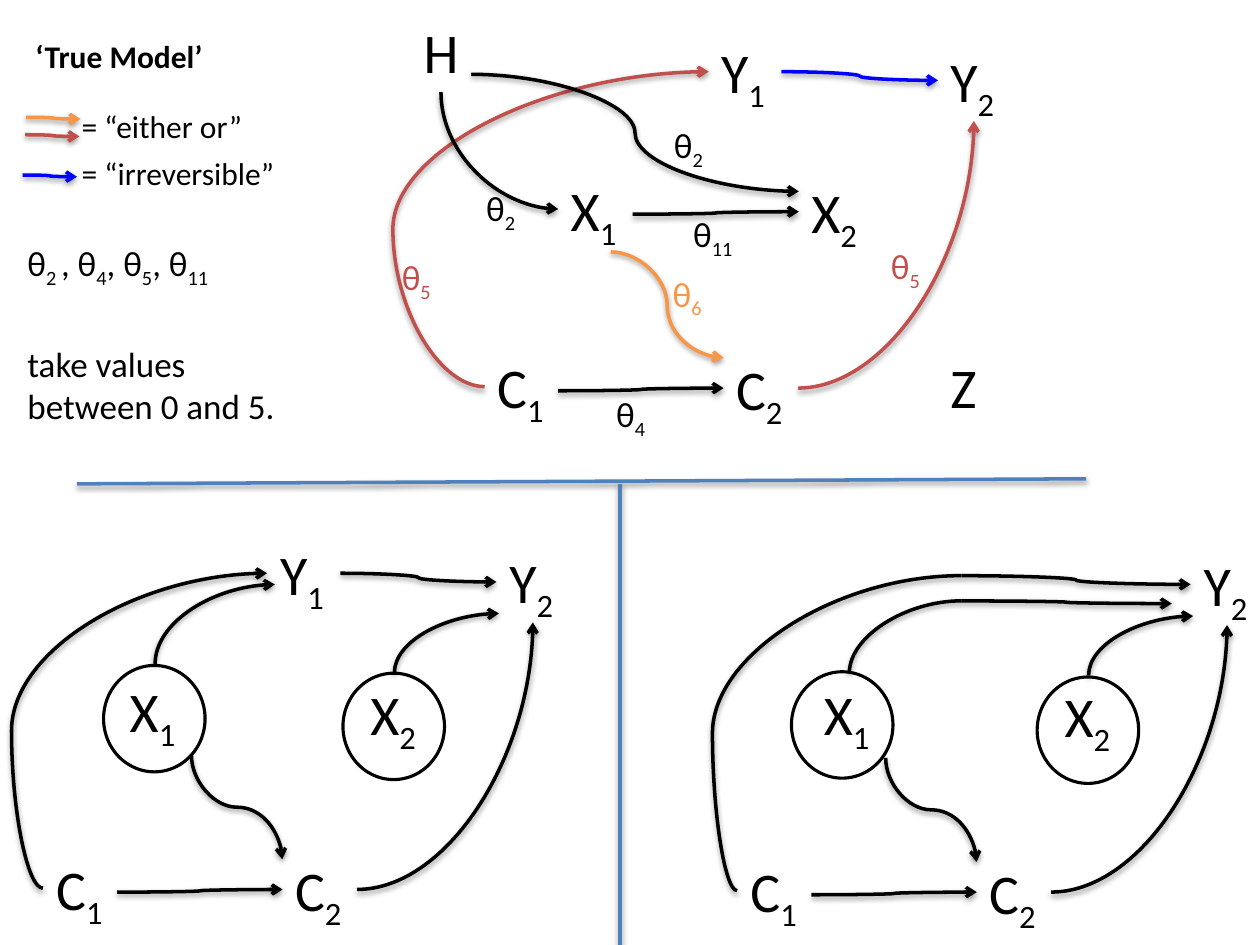
from lxml import etree
from pptx import Presentation
from pptx.dml.color import RGBColor
from pptx.enum.shapes import MSO_CONNECTOR, MSO_SHAPE
from pptx.enum.text import MSO_ANCHOR, MSO_AUTO_SIZE, PP_ALIGN
from pptx.oxml.ns import qn
from pptx.util import Pt

CURVE, STRAIGHT = MSO_CONNECTOR.CURVE, MSO_CONNECTOR.STRAIGHT
DONUT = MSO_SHAPE.DONUT
TOP, LEFT = MSO_ANCHOR.TOP, PP_ALIGN.LEFT
FIT_SHAPE = MSO_AUTO_SIZE.SHAPE_TO_FIT_TEXT

BLACK = RGBColor(0x00, 0x00, 0x00)
RED = RGBColor(0xC0, 0x50, 0x4D)
ORANGE = RGBColor(0xF7, 0x96, 0x46)
BLUE = RGBColor(0x00, 0x00, 0xFF)
DIVIDER_BLUE = RGBColor(0x4F, 0x81, 0xBD)
FONT = "Calibri"

# "_" switches between normal text and subscript.
# Graph positions are those of the top model; the lower models are shifted.
SHIFT = {"top": (0, 0), "left": (-252, 286.5), "right": (144.7, 288)}
NODES = [  # text, left, top, width, models
    ("X_1", 319, 96.5, 42.5, ("top", "left", "right")),
    ("X_2", 456.5, 98, 42.5, ("top", "left", "right")),
    ("C_1", 277, 198, 42.5, ("top", "left", "right")),
    ("C_2", 413.5, 199, 42.5, ("top", "left", "right")),
    ("Y_2", 536, 23, 41, ("top", "left", "right")),
    ("Y_1", 405, 18, 41, ("top", "left")),
    ("H", 235, 6.5, 34.5, ("top",)),
    ("Z", 536, 198, 29.5, ("top",)),
]
SHARED_EDGES = [  # start, end, options, models
    ((319, 223.3), (413.5, 221.8), {}, ("top", "left", "right")),
    ((477.4, 98), (537.1, 64.1), {"vertical": True, "bend": True}, ("left", "right")),
    ((361.4, 145), (413.3, 204.5), {"vertical": True}, ("left", "right")),
    ((456, 221.8), (556.5, 69.2), {"bend": True}, ("left", "right")),
]
EDGES = [  # start, end, options
    # top model
    ((456, 221.8), (556.5, 69.2), {"bend": True, "color": RED}),
    ((361.5, 122.4), (456.5, 121), {}),
    ((446.5, 41), (536, 46), {"color": BLUE}),
    ((277, 221), (405, 41), {"color": RED, "middle": -0.41}),
    ((349, 144), (413.5, 204.5), {"color": ORANGE}),
    ((252, 52.6), (319, 119.5), {"vertical": True, "bend": True}),
    ((269.3, 42.5), (456.5, 109.4), {}),
    # left model
    ((194.5, 327.6), (283.7, 332.6), {}),
    ((24.5, 507.6), (152.6, 327.6), {"middle": -0.14}),
    ((88.6, 379.4), (157, 334), {"vertical": True, "bend": True}),
    # right model
    ((421.2, 509), (549.4, 329), {"middle": -0.11, "arrow": False}),
    ((549.4, 329), (680.4, 334), {}),
    ((485.3, 384.5), (549.4, 343.4), {"vertical": True, "bend": True, "arrow": False}),
    ((549.4, 343.4), (669.6, 344.9), {}),
    # key
    ((15, 67), (46, 68), {"color": ORANGE}),
    ((14.4, 77), (45.4, 78), {"color": RED}),
    ((13, 100), (44, 101), {"color": BLUE}),
    # dividers
    ((44, 276.5), (620.6, 273.6), {"kind": STRAIGHT, "color": DIVIDER_BLUE, "arrow": False}),
    ((354.2, 276.5), (354.2, 540), {"kind": STRAIGHT, "color": DIVIDER_BLUE, "arrow": False}),
]
WEIGHTS = [  # text, left, top, width, colour
    ("θ_4", 345, 221, 32.4, BLACK),
    ("θ_5", 222.5, 142.6, 32.4, RED),
    ("θ_5", 502, 136, 32.4, RED),
    ("θ_11", 389, 118, 39, BLACK),
    ("θ_6", 377.3, 152, 32.4, ORANGE),
    ("θ_2", 378, 67, 32.4, BLACK),
    ("θ_2", 270.7, 103, 32.4, BLACK),
]
KEY = [("= “either or”", 39.6, 57.6, 106.6), ("= “irreversible”", 39.6, 84.2, 126.7)]
NOTE = ["θ_2 _, θ_4_, θ_5_, θ_11", "take values between 0 and 5."]
RINGS = [(58.3, 379.4), (195.1, 383.8), (451.4, 383), (591.8, 386)]

SHADOW = (
    '<a:effectLst xmlns:a="http://schemas.openxmlformats.org/drawingml/2006/main">'
    '<a:outerShdw blurRad="40000" dist="20000" dir="5400000" rotWithShape="0">'
    '<a:srgbClr val="000000"><a:alpha val="38000"/></a:srgbClr>'
    "</a:outerShdw></a:effectLst>"
)


def write_runs(paragraph, text, size, color):
    for index, part in enumerate(text.split("_")):
        run = paragraph.add_run()
        run.text = part
        run.font.name, run.font.size = FONT, Pt(size)
        run.font.color.rgb = color
        if index % 2:
            run.font._element.set("baseline", "-25000")


def add_text(slide, lines, left, top, width, height, size, color=BLACK, wrap=False):
    box = slide.shapes.add_textbox(Pt(left), Pt(top), Pt(width), Pt(height))
    frame = box.text_frame
    frame.word_wrap = wrap
    frame.auto_size = FIT_SHAPE
    for index, line in enumerate(lines):
        paragraph = frame.add_paragraph() if index else frame.paragraphs[0]
        if index:
            paragraph.space_before = Pt(30)
        write_runs(paragraph, line, size, color)


def add_edge(slide, start, end, kind=CURVE, color=BLACK, arrow=True,
             bend=False, vertical=False, middle=None):
    """Draw a line; bend is a quarter turn, vertical leaves the start upright."""
    (x1, y1), (x2, y2) = start, end
    if vertical:  # lay the curve on its side, then turn it 90 degrees
        center_x, center_y = (x1 + x2) / 2, (y1 + y2) / 2
        half_x, half_y = (x2 - x1) / 2, (y2 - y1) / 2
        x1, x2 = center_x - half_y, center_x + half_y
        y1, y2 = center_y + half_x, center_y - half_x
    connector = slide.shapes.add_connector(kind, Pt(x1), Pt(y1), Pt(x2), Pt(y2))
    connector.line.color.rgb = color
    connector.line.width = Pt(2)
    properties = connector._element.spPr
    geometry = properties.find(qn("a:prstGeom"))
    if vertical:
        properties.find(qn("a:xfrm")).set("rot", "5400000")
    if bend:
        geometry.set("prst", "curvedConnector2")
    if middle is not None:
        guide = etree.SubElement(geometry.find(qn("a:avLst")), qn("a:gd"))
        guide.set("name", "adj1")
        guide.set("fmla", f"val {round(middle * 100000)}")
    if arrow:
        etree.SubElement(properties.find(qn("a:ln")), qn("a:tailEnd")).set("type", "arrow")
    properties.append(etree.fromstring(SHADOW))


def add_title(slide, text):
    title = slide.shapes.title
    title.left, title.top, title.width, title.height = Pt(13), Pt(17.3), Pt(111.6), Pt(29)
    frame = title.text_frame
    frame.text = text
    frame.word_wrap = False
    frame.vertical_anchor = TOP
    frame.auto_size = FIT_SHAPE
    paragraph = frame.paragraphs[0]
    paragraph.alignment = LEFT
    font = paragraph.runs[0].font
    font.name, font.size, font.bold = FONT, Pt(18), True
    font.color.rgb = BLACK


def main():
    presentation = Presentation()
    presentation.slide_width, presentation.slide_height = Pt(720), Pt(540)
    slide = presentation.slides.add_slide(presentation.slide_layouts[5])
    add_title(slide, "‘True Model’")

    for text, left, top, width, models in NODES:
        for model in models:
            dx, dy = SHIFT[model]
            add_text(slide, [text], left + dx, top + dy, width, 46, 32)
    for (x1, y1), (x2, y2), options, models in SHARED_EDGES:
        for model in models:
            dx, dy = SHIFT[model]
            add_edge(slide, (x1 + dx, y1 + dy), (x2 + dx, y2 + dy), **options)
    for start, end, options in EDGES:
        add_edge(slide, start, end, **options)

    for text, left, top, width, color in WEIGHTS:
        add_text(slide, [text], left, top, width, 31.5, 20, color)
    for text, left, top, width in KEY:
        add_text(slide, [text], left, top, width, 29, 18)
    add_text(slide, NOTE, 8.6, 134.6, 167, 112, 20, wrap=True)

    for left, top in RINGS:
        ring = slide.shapes.add_shape(DONUT, Pt(left), Pt(top), Pt(59.8), Pt(62.6))
        ring.adjustments[0] = 0.03
        ring.shadow.inherit = False
        ring.fill.solid()
        ring.fill.fore_color.rgb = BLACK
        ring.line.fill.background()

    presentation.save("out.pptx")


if __name__ == "__main__":
    main()
